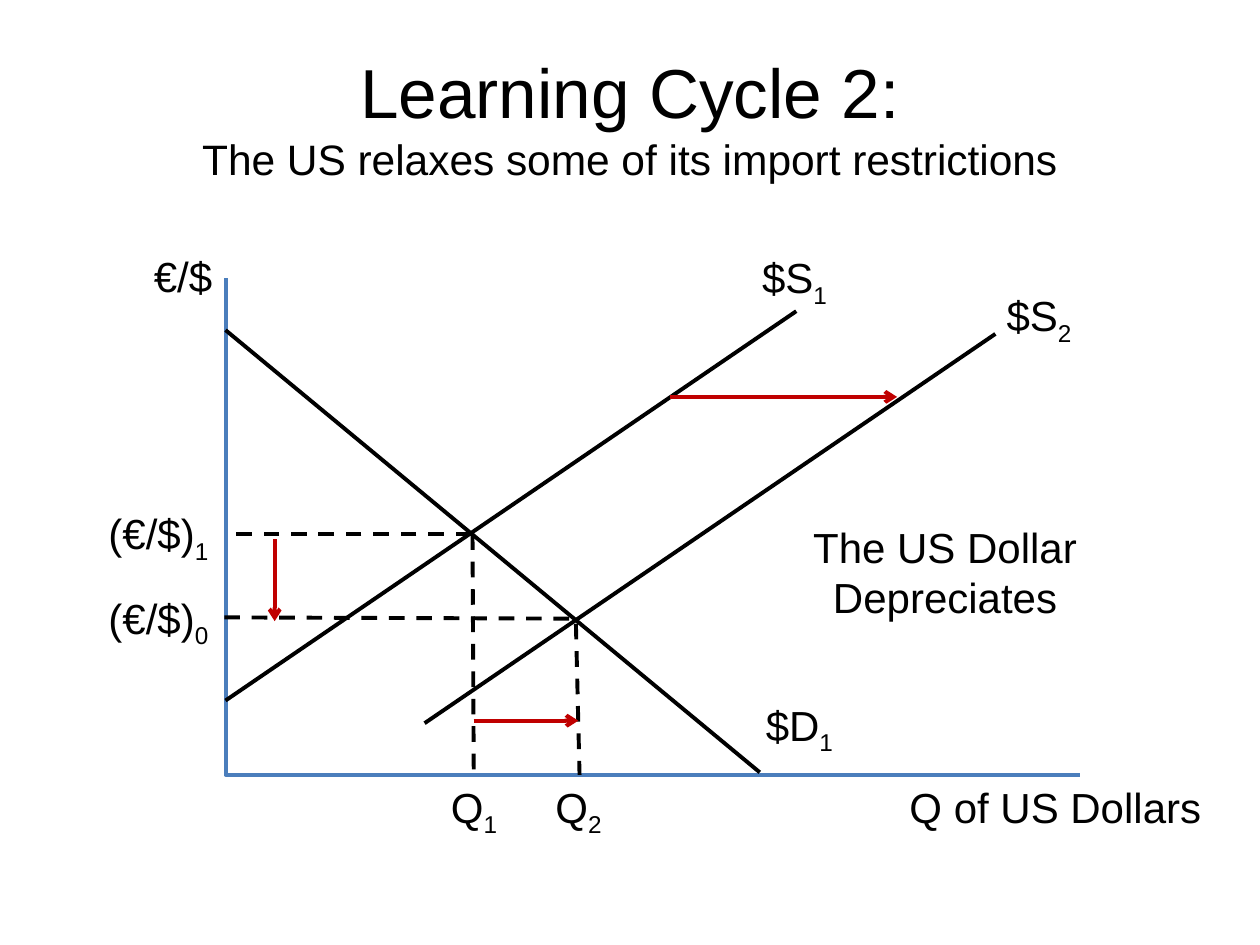
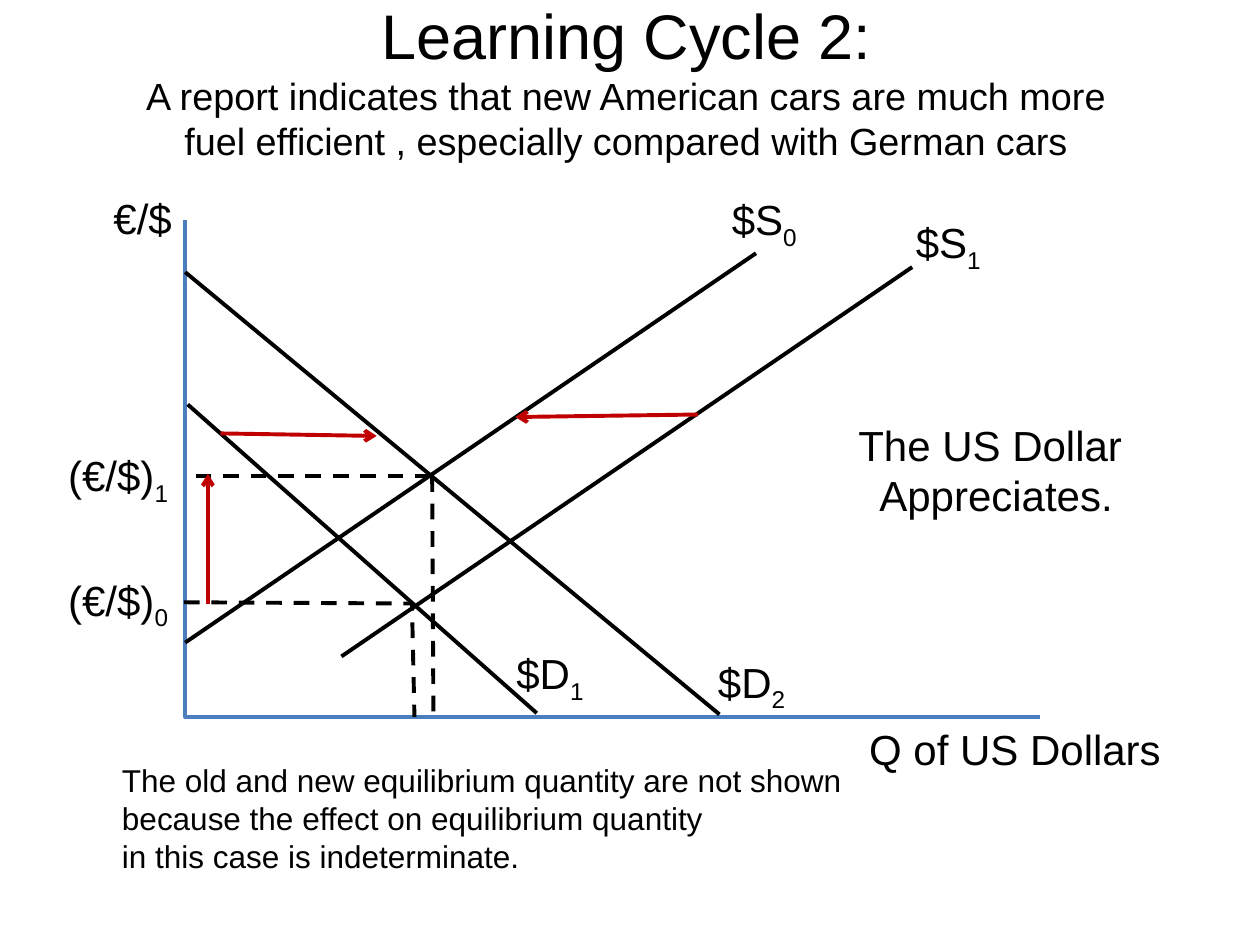
from lxml import etree
from pptx import Presentation
from pptx.dml.color import RGBColor
from pptx.enum.dml import MSO_LINE
from pptx.enum.shapes import MSO_CONNECTOR
from pptx.enum.text import MSO_ANCHOR, MSO_AUTO_SIZE, PP_ALIGN
from pptx.oxml.ns import qn
from pptx.util import Inches, Pt

STRAIGHT = MSO_CONNECTOR.STRAIGHT
DASH = MSO_LINE.DASH
LEFT, CENTER, JUSTIFY = PP_ALIGN.LEFT, PP_ALIGN.CENTER, PP_ALIGN.JUSTIFY
COLORS = {"ink": "000000", "axis": "4B7EBC", "shift": "C00000"}
FONT = "Arial"
SUPPLY = (4.53, -3.09)  # run and rise of every supply curve

# Shared diagram, as offsets from the origin of the axes
AXES = [(0, -3.94), (0, 0), (6.78, 0)]
CURVES = [[(0, -0.59), (4.53, -3.68)], [(0, -3.53), (4.24, -0.02)]]
GUIDES = [[(1.95, -1.91), (0, -1.91)], [(1.96, -1.91), (1.97, -0.02)]]
AXIS_LABELS = [  # text, left, top, width
    ("Q of US Dollars", 5.33, 0, 2.54),
    ("\u00a0€/$", -0.76, -4.21, 0.76),
    ("\u00a0(€/$)_1", -1.12, -2.17, 1.11),
]

# What differs from slide to slide, in slide inches
SLIDES = [
    {
        "title": ["Learning Cycle 2:",
                  "The US relaxes some of its import restrictions"],
        "title_at": (0.5, 0.3), "sizes": (39.6, 24.3),
        "origin": (1.79, 6.15),
        "supply_start": (3.37, 5.74),
        "curves": [],
        "guide": [(1.78, 4.9), (4.57, 4.91), (4.6, 6.15)],
        "arrows": [[(5.32, 3.15), (7.12, 3.15)],
                   [(2.18, 4.28), (2.18, 4.93)],
                   [(3.76, 5.72), (4.59, 5.72)]],
        "labels": [("$S_1", 5.95, 1.95, 0.74), ("$S_2", 7.89, 2.25, 0.74),
                   ("$D_1", 5.98, 5.5, 0.76), ("Q_1", 3.48, 6.15, 0.59),
                   ("Q_2", 4.31, 6.15, 0.59),
                   ("\u00a0(€/$)_0", 0.67, 4.65, 1.11)],
        "notes": [(["The US Dollar", "Depreciates"],
                   (6.34, 4.09, 2.32, 0.91), 24, CENTER)],
    },
    {
        "title": ["Learning Cycle 2:",
                  "A report indicates that new American cars are much more",
                  "fuel efficient , especially compared with German cars"],
        "title_at": (0.47, 0.01), "sizes": (36, 21.6),
        "origin": (1.47, 5.69),
        "supply_start": (2.71, 5.21),
        "curves": [[(1.49, 3.21), (4.26, 5.66)]],
        "guide": [(1.46, 4.78), (3.27, 4.79), (3.29, 5.69)],
        "arrows": [[(1.65, 4.79), (1.65, 3.76)],
                   [(1.75, 3.44), (2.99, 3.46)],
                   [(5.54, 3.29), (4.09, 3.31)]],
        "labels": [("$S_0", 5.71, 1.49, 0.74), ("$S_1", 7.17, 1.67, 0.74),
                   ("$D_1", 4, 5.09, 0.76), ("$D_2", 5.6, 5.16, 0.76),
                   ("\u00a0(€/$)_0", 0.35, 4.51, 1.11)],
        "notes": [(["The US Dollar ", "Appreciates."],
                   (6.7, 3.28, 2.41, 0.91), 24, CENTER),
                  (["The old and new equilibrium quantity are not shown",
                    "because the effect on equilibrium quantity",
                    "in this case is indeterminate."],
                   (0.87, 5.99, 5.97, 1.31), 18, JUSTIFY)],
    },
]


def rgb(name):
    return RGBColor.from_string(COLORS[name])


def style_text(p, size, align):
    p.alignment = align
    p.font.name, p.font.size = FONT, Pt(size)
    p.font.color.rgb = rgb("ink")


def add_title(s, lines, at, sizes):
    sp = s.shapes.title
    sp.left, sp.top = Inches(at[0]), Inches(at[1])
    sp.width, sp.height = Inches(9), Inches(1.25)
    tf = sp.text_frame
    tf.auto_size = MSO_AUTO_SIZE.NONE
    tf.vertical_anchor = MSO_ANCHOR.MIDDLE
    p = tf.paragraphs[0]
    style_text(p, sizes[1], CENTER)
    for i, line in enumerate(lines):
        if i:
            p.add_line_break()
        r = p.add_run()
        r.text = line
        r.font.size = Pt(sizes[min(i, 1)])


def add_text(s, lines, box, size=24, align=LEFT):
    """Text box; an underscore in a line starts a subscript."""
    tf = s.shapes.add_textbox(*map(Inches, box)).text_frame
    tf.word_wrap = False
    for i, line in enumerate(lines):
        p = tf.add_paragraph() if i else tf.paragraphs[0]
        style_text(p, size, align)
        base, _, sub = line.partition("_")
        p.add_run().text = base
        if sub:
            r = p.add_run()
            r.text = sub
            r.font._element.set("baseline", "-25000")


def add_path(s, points, color="ink", dash=False, arrow=False):
    """Connector for two points, open freeform for more."""
    pts = [(Inches(x), Inches(y)) for x, y in points]
    if len(pts) == 2:
        sp = s.shapes.add_connector(STRAIGHT, *pts[0], *pts[1])
    else:
        fb = s.shapes.build_freeform(*pts[0])
        fb.add_line_segments(pts[1:], close=False)
        sp = fb.convert_to_shape()
        sp.fill.background()
    sp.line.color.rgb = rgb(color)
    sp.line.width = Pt(2.25)
    if dash:
        sp.line.dash_style = DASH
    if arrow:
        etree.SubElement(sp.line._get_or_add_ln(), qn("a:tailEnd"), type="arrow")
    etree.SubElement(sp._element.spPr, qn("a:effectLst"))


prs = Presentation()
prs.slide_width, prs.slide_height = Inches(10), Inches(7.5)

for d in SLIDES:
    s = prs.slides.add_slide(prs.slide_layouts[5])
    ox, oy = d["origin"]

    def place(points):
        return [(ox + x, oy + y) for x, y in points]

    add_title(s, d["title"], d["title_at"], d["sizes"])

    # Axes, curves and guides
    add_path(s, place(AXES), "axis")
    x, y = d["supply_start"]
    second_supply = [(x, y), (x + SUPPLY[0], y + SUPPLY[1])]
    for curve in [place(c) for c in CURVES] + [second_supply] + d["curves"]:
        add_path(s, curve)
    for guide in [place(g) for g in GUIDES] + [d["guide"]]:
        add_path(s, guide, dash=True)

    # Shift arrows
    for arrow in d["arrows"]:
        add_path(s, arrow, "shift", arrow=True)

    # Labels and remarks
    shared = [(t, ox + x, oy + y, w) for t, x, y, w in AXIS_LABELS]
    for text, x, y, w in shared + d["labels"]:
        add_text(s, [text], (x, y, w, 0.5))
    for lines, box, size, align in d["notes"]:
        add_text(s, lines, box, size, align)

prs.save("out.pptx")
